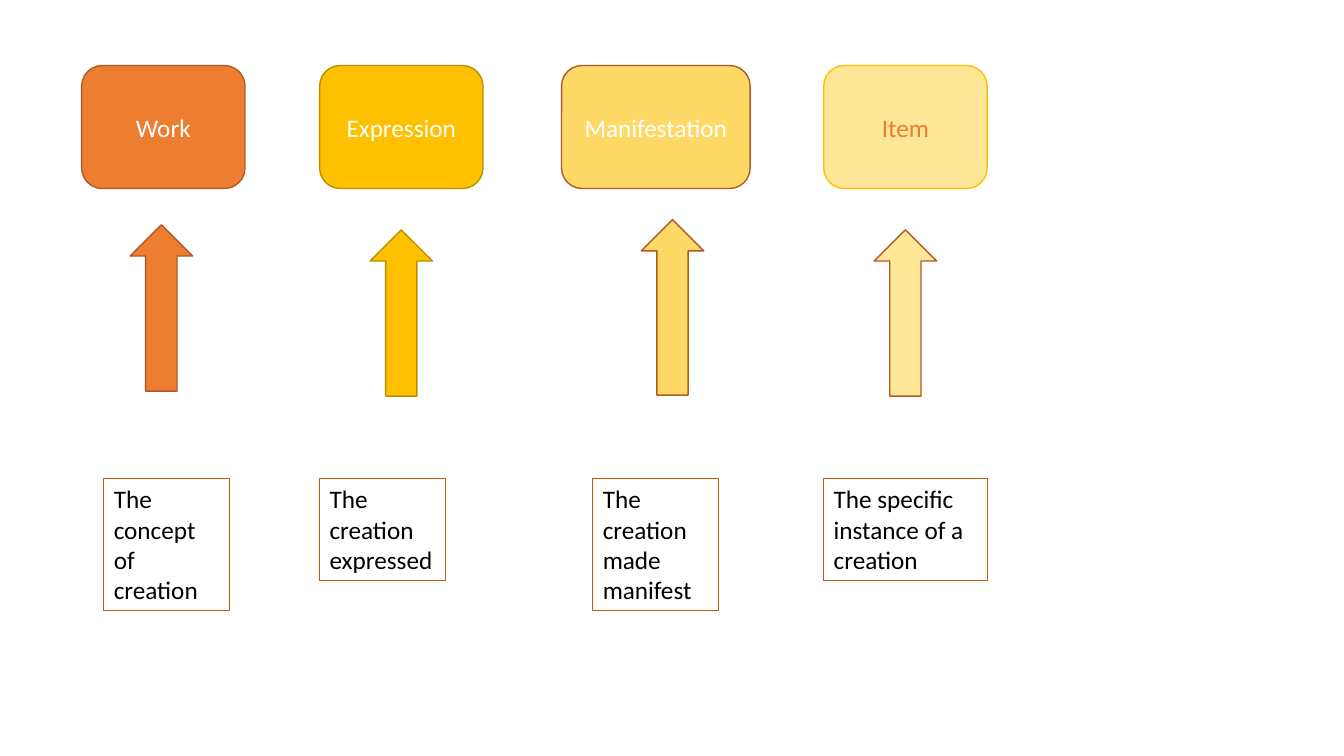
from dataclasses import dataclass

from pptx import Presentation
from pptx.dml.color import RGBColor
from pptx.enum.shapes import MSO_SHAPE as Preset
from pptx.enum.text import MSO_ANCHOR as Anchor, MSO_AUTO_SIZE as AutoSize, PP_ALIGN as Align
from pptx.shapes.autoshape import Shape
from pptx.slide import Slide
from pptx.util import Inches, Pt

COLORS = {
    "orange": "ED7D31",
    "brown": "AF5C24",
    "rust": "C55A11",
    "gold": "FFC000",
    "olive": "BD8E00",
    "yellow": "FFD966",
    "cream": "FFE699",
    "white": "FFFFFF",
    "black": "000000",
}
ENTITY_TOP, ENTITY_HEIGHT = 0.65, 1.22
ARROW_WIDTH = 0.62
NOTE_TOP = 4.75


@dataclass
class Entity:
    name: str
    left: float
    width: float
    fill: str
    outline: str
    text_color: str
    arrow_left: float
    arrow_top: float
    arrow_height: float
    arrow_outline: str
    note: list[str]
    note_left: float
    note_width: float
    note_height: float


ENTITIES = [
    Entity("Work", 0.81, 1.62, "orange", "brown", "white", 1.29, 2.23, 1.65, "brown",
           ["The concept of creation"], 1.03, 1.25, 1.31),
    Entity("Expression", 3.17, 1.62, "gold", "olive", "white", 3.67, 2.28, 1.65, "olive",
           ["The creation", "expressed"], 3.17, 1.25, 1.01),
    Entity("Manifestation", 5.57, 1.87, "yellow", "brown", "white", 6.36, 2.18, 1.74, "brown",
           ["The creation made manifest"], 5.88, 1.25, 1.31),
    Entity("Item", 8.17, 1.62, "cream", "gold", "orange", 8.67, 2.28, 1.65, "brown",
           ["The specific instance of a creation"], 8.17, 1.62, 1.01),
]


def color(name: str) -> RGBColor:
    return RGBColor.from_string(COLORS[name])


def set_outline(shape: Shape, name: str, weight: float) -> None:
    shape.line.color.rgb = color(name)
    shape.line.width = Pt(weight)


def write(shape: Shape, lines: list[str], *, text_color: str, align: Align, anchor: Anchor) -> None:
    frame = shape.text_frame
    frame.word_wrap = True
    frame.vertical_anchor = anchor
    frame.text = "\n".join(lines)
    for para in frame.paragraphs:
        para.alignment = align
        for span in para.runs:
            span.font.name = "Calibri"
            span.font.size = Pt(18)
            span.font.color.rgb = color(text_color)


def add_filled(page: Slide, preset: Preset, left: float, top: float, width: float,
               height: float, fill: str, outline: str) -> Shape:
    shape = page.shapes.add_shape(preset, Inches(left), Inches(top), Inches(width), Inches(height))
    shape.shadow.inherit = False
    shape.fill.solid()
    shape.fill.fore_color.rgb = color(fill)
    set_outline(shape, outline, 1)
    return shape


def add_entity(page: Slide, entity: Entity) -> None:
    box = add_filled(page, Preset.ROUNDED_RECTANGLE, entity.left, ENTITY_TOP, entity.width,
                     ENTITY_HEIGHT, entity.fill, entity.outline)
    write(box, [entity.name], text_color=entity.text_color, align=Align.CENTER, anchor=Anchor.MIDDLE)
    add_filled(page, Preset.UP_ARROW, entity.arrow_left, entity.arrow_top, ARROW_WIDTH,
               entity.arrow_height, entity.fill, entity.arrow_outline)
    note = page.shapes.add_textbox(Inches(entity.note_left), Inches(NOTE_TOP),
                                   Inches(entity.note_width), Inches(entity.note_height))
    set_outline(note, "rust", 0.75)
    write(note, entity.note, text_color="black", align=Align.LEFT, anchor=Anchor.TOP)
    note.text_frame.auto_size = AutoSize.SHAPE_TO_FIT_TEXT


def main() -> None:
    deck = Presentation()
    deck.slide_width, deck.slide_height = Inches(13.33), Inches(7.5)
    page = deck.slides.add_slide(deck.slide_layouts[6])
    for entity in ENTITIES:
        add_entity(page, entity)
    deck.save("out.pptx")


if __name__ == "__main__":
    main()
